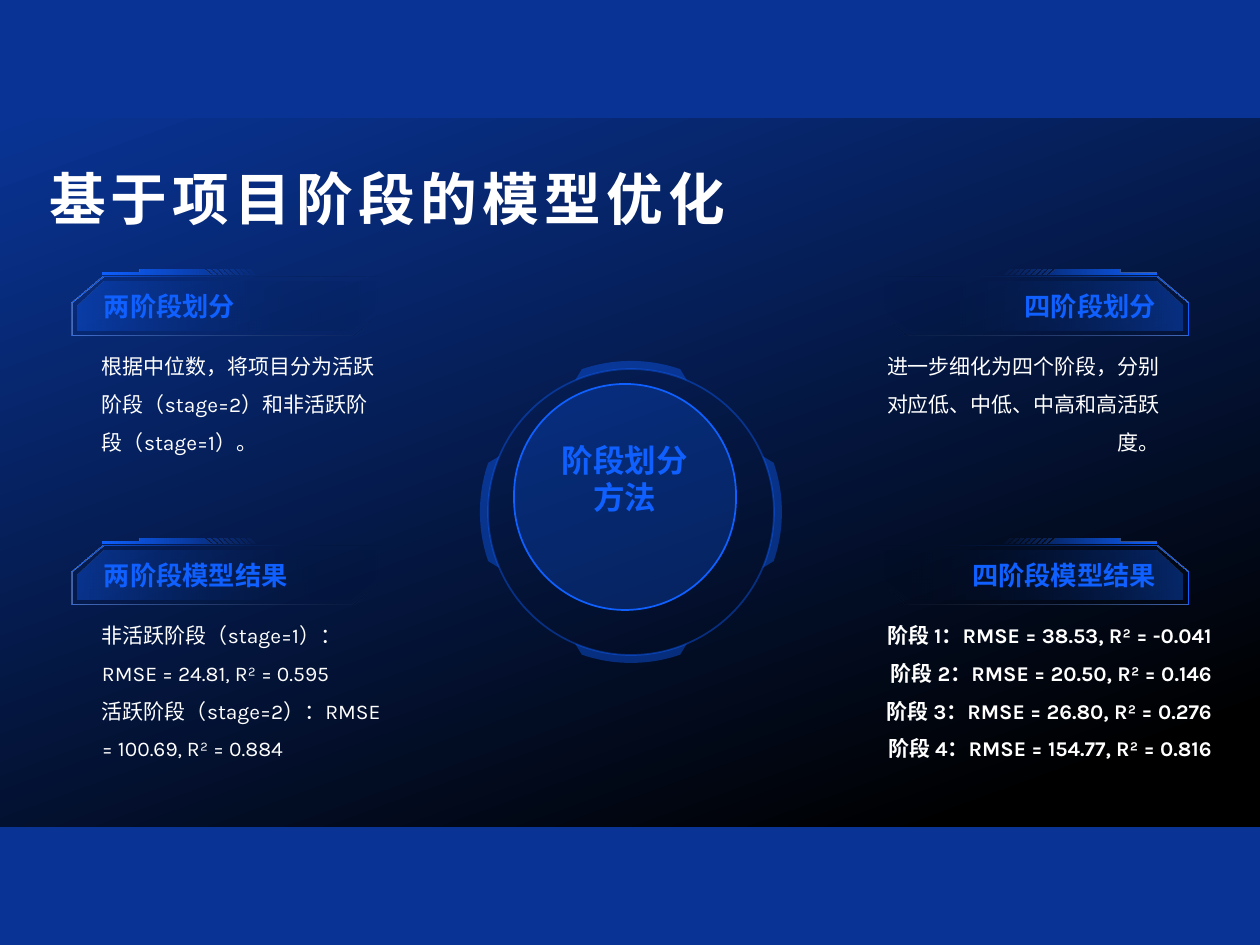
import math
from dataclasses import dataclass
from typing import NamedTuple

import pptx
import pptx.dml.color
import pptx.enum.shapes
import pptx.enum.text
import pptx.oxml
import pptx.oxml.ns
import pptx.util

ALIGN = pptx.enum.text.PP_ALIGN
ANCHOR = pptx.enum.text.MSO_ANCHOR
SHAPE = pptx.enum.shapes.MSO_SHAPE
WIDTH, HEIGHT = 1260, 945
EMU_PER_PX = 914400 / 126


@dataclass(frozen=True)
class Theme:
    font: str = "Karla"
    royal: str = "093495"
    accent: str = "0F60FF"
    black: str = "000000"
    white: str = "FFFFFF"
    title: float = 32.4
    center: int = 18
    heading: int = 15
    body: int = 12


class Stop(NamedTuple):
    position: float
    color: str
    alpha: int = 100


class Box(NamedTuple):
    x: int
    y: int
    w: int
    h: int


@dataclass(frozen=True)
class Section:
    heading: str
    lines: tuple[str, ...]
    top: int
    body: Box
    right: bool = False
    bold: bool = False


T = Theme()
ROWS = (277, 546)
BODY_OFFSET = 64
SECTIONS = (
    Section("两阶段划分", ("根据中位数，将项目分为活跃阶段（stage=2）和非活跃阶段（stage=1）。",),
            ROWS[0], Box(102, ROWS[0] + BODY_OFFSET, 282, 144)),
    Section("两阶段模型结果",
            ("非活跃阶段（stage=1）：RMSE = 24.81, R² = 0.595",
             "活跃阶段（stage=2）：RMSE = 100.69, R² = 0.884"),
            ROWS[1], Box(102, ROWS[1] + BODY_OFFSET, 282, 144)),
    Section("四阶段划分", ("进一步细化为四个阶段，分别对应低、中低、中高和高活跃度。",),
            ROWS[0], Box(878, ROWS[0] + BODY_OFFSET, 282, 144), right=True),
    Section("四阶段模型结果",
            ("阶段 1：RMSE = 38.53, R² = -0.041", "阶段 2：RMSE = 20.50, R² = 0.146",
             "阶段 3：RMSE = 26.80, R² = 0.276", "阶段 4：RMSE = 154.77, R² = 0.816"),
            ROWS[1], Box(848, ROWS[1] + BODY_OFFSET, 364, 144), right=True, bold=True),
)

# Banner outlines, relative to the left banner's top-left corner
BANNER_X = 72
FRAME = (
    ((311, 0), (311, 33), (281, 59), (0, 59), (0, 26), (31, 0)),
    ((310, 33), (310, 1), (32, 1), (1, 26), (1, 58), (280, 58)),
)
PANEL = (((306, 5), (306, 31), (278, 54), (6, 54), (6, 29), (32, 5)),)
TICKS = tuple(
    ((x, -7), (x + 3, -7), (x + 9, -3), (x + 6, -3))
    for x in (136 + 39 * i / 7 for i in range(8))
)
STRIP = TICKS + (((68, -7), (133, -7), (140, -3), (31, -3), (31, -5), (68, -5)),)

RING_CENTER = (631, 512)
RING_RADIUS = 143


def px(n: float) -> pptx.util.Emu:
    return pptx.util.Emu(round(n * EMU_PER_PX))


def rgb(color: str):
    return pptx.dml.color.RGBColor.from_string(color)


def set_alpha(color_element, percent: int) -> None:
    alpha = pptx.oxml.parse_xml(
        f'<a:alpha {pptx.oxml.ns.nsdecls("a")} val="{percent * 1000}"/>')
    color_element.append(alpha)


def fill_solid(sp, color: str, alpha: int) -> None:
    sp.fill.solid()
    sp.fill.fore_color.rgb = rgb(color)
    set_alpha(sp._element.spPr.xpath("./a:solidFill/a:srgbClr")[0], alpha)


def fill_gradient(sp, stops: tuple[Stop, Stop], clockwise: int) -> None:
    sp.fill.gradient()
    sp.fill.gradient_angle = -clockwise % 360
    for target, stop in zip(sp.fill.gradient_stops, stops):
        target.position = stop.position
        target.color.rgb = rgb(stop.color)
    for element, stop in zip(sp._element.spPr.xpath("./a:gradFill//a:srgbClr"), stops):
        if stop.alpha < 100:
            set_alpha(element, stop.alpha)


def write(sp, *lines: str, size: float, color: str = T.white, bold: bool = False,
          align=ALIGN.LEFT, anchor=ANCHOR.TOP, spacing: float | None = None,
          tracking: int = 0, margins: tuple[int, int, int, int] = (0, 0, 0, 0)) -> None:
    """Fill a shape with one paragraph per line; margins are left, top, right, bottom."""
    tf = sp.text_frame
    tf.word_wrap = True
    tf.auto_size = pptx.enum.text.MSO_AUTO_SIZE.NONE
    tf.vertical_anchor = anchor
    tf.margin_left, tf.margin_top, tf.margin_right, tf.margin_bottom = map(px, margins)
    for i, line in enumerate(lines):
        p = tf.add_paragraph() if i else tf.paragraphs[0]
        p.alignment = align
        p.line_spacing = spacing
        r = p.add_run()
        r.text = line
        r.font.name, r.font.size, r.font.bold = T.font, pptx.util.Pt(size), bold
        r.font.color.rgb = rgb(color)
        if tracking:
            r.font._element.set("spc", str(tracking * 100))


def add_preset(s, kind, box: Box):
    sp = s.shapes.add_shape(kind, *map(px, box))
    sp.shadow.inherit = False
    sp.line.fill.background()
    return sp


def add_outline(s, contours):
    """Draw closed polygons, given in slide px, as one shape without a line."""
    emu = [[(px(x), px(y)) for x, y in contour] for contour in contours]
    builder = s.shapes.build_freeform(*emu[0][0], scale=1.0)
    for i, (start, *rest) in enumerate(emu):
        if i:
            builder.move_to(*start)
        builder.add_line_segments(rest, close=True)
    sp = builder.convert_to_shape()
    sp.shadow.inherit = False
    sp.line.fill.background()
    return sp


def add_section(s, section: Section) -> None:
    def place(contours):
        left = [[(BANNER_X + x, section.top + y) for x, y in c] for c in contours]
        return [[(WIDTH - x, y) for x, y in c] for c in left] if section.right else left

    inward, outward = (180, 0) if section.right else (0, 180)
    align = ALIGN.RIGHT if section.right else ALIGN.LEFT
    clear = Stop(0, T.black, 0)
    fill_gradient(add_outline(s, place(FRAME)), (clear, Stop(1, T.accent)), outward)
    panel = add_outline(s, place(PANEL))
    fill_gradient(panel, (clear, Stop(1, T.accent, 36)), outward)
    write(panel, section.heading, size=T.heading, color=T.accent, bold=True, align=align,
          anchor=ANCHOR.MIDDLE, margins=(0, 0, 26, 0) if section.right else (26, 0, 0, 0))
    fill_gradient(add_outline(s, place(STRIP)),
                  (Stop(0, T.accent), Stop(1, T.accent, 4)), inward)
    body = s.shapes.add_textbox(*map(px, section.body))
    write(body, *section.lines, size=T.body, bold=section.bold, align=align, spacing=1.5)


def arc(radius: int, middle: int, half: int) -> list[tuple[float, float]]:
    cx, cy = RING_CENTER
    angles = [math.radians(middle + half * i / 12) for i in range(-12, 13)]
    return [(cx + radius * math.cos(a), cy + radius * math.sin(a)) for a in angles]


def add_center(s) -> None:
    disc = add_preset(s, SHAPE.ROUNDED_RECTANGLE, Box(514, 384, 222, 226))
    disc.adjustments[0] = 0.5
    fill_solid(disc, T.accent, 25)
    disc.line.color.rgb = rgb(T.accent)
    disc.line.width = pptx.util.Pt(1)
    write(disc, "阶段划分方法", size=T.center, color=T.accent, bold=True,
          align=ALIGN.CENTER, anchor=ANCHOR.MIDDLE, margins=(6, 0, 6, 37))

    cx, cy = RING_CENTER
    ring = add_preset(s, SHAPE.OVAL, Box(cx - RING_RADIUS, cy - RING_RADIUS,
                                         2 * RING_RADIUS, 2 * RING_RADIUS))
    ring.fill.background()
    ring.line.color.rgb = rgb(T.accent)
    ring.line.width = pptx.util.Pt(1)
    set_alpha(ring._element.spPr.xpath("./a:ln//a:srgbClr")[0], 40)
    for middle in range(0, 360, 90):
        contour = arc(151, middle, 19) + arc(RING_RADIUS, middle, 23)[::-1]
        fill_solid(add_outline(s, [contour]), T.accent, 40)


def main() -> None:
    prs = pptx.Presentation()
    prs.slide_width, prs.slide_height = px(WIDTH), px(HEIGHT)
    s = prs.slides.add_slide(prs.slide_layouts[5])
    s.background.fill.solid()
    s.background.fill.fore_color.rgb = rgb(T.royal)
    band = add_preset(s, SHAPE.RECTANGLE, Box(0, 118, WIDTH, 709))
    fill_gradient(band, (Stop(0, T.royal), Stop(0.9, T.black)), 70)
    s.shapes._spTree.insert(2, band._element)  # behind the title

    title = s.shapes.title
    title.left, title.top, title.width, title.height = map(px, Box(49, 161, 1134, 73))
    write(title, "基于项目阶段的模型优化", size=T.title, bold=True,
          anchor=ANCHOR.MIDDLE, tracking=3)
    for section in SECTIONS:
        add_section(s, section)
    add_center(s)
    prs.save("out.pptx")


if __name__ == "__main__":
    main()
